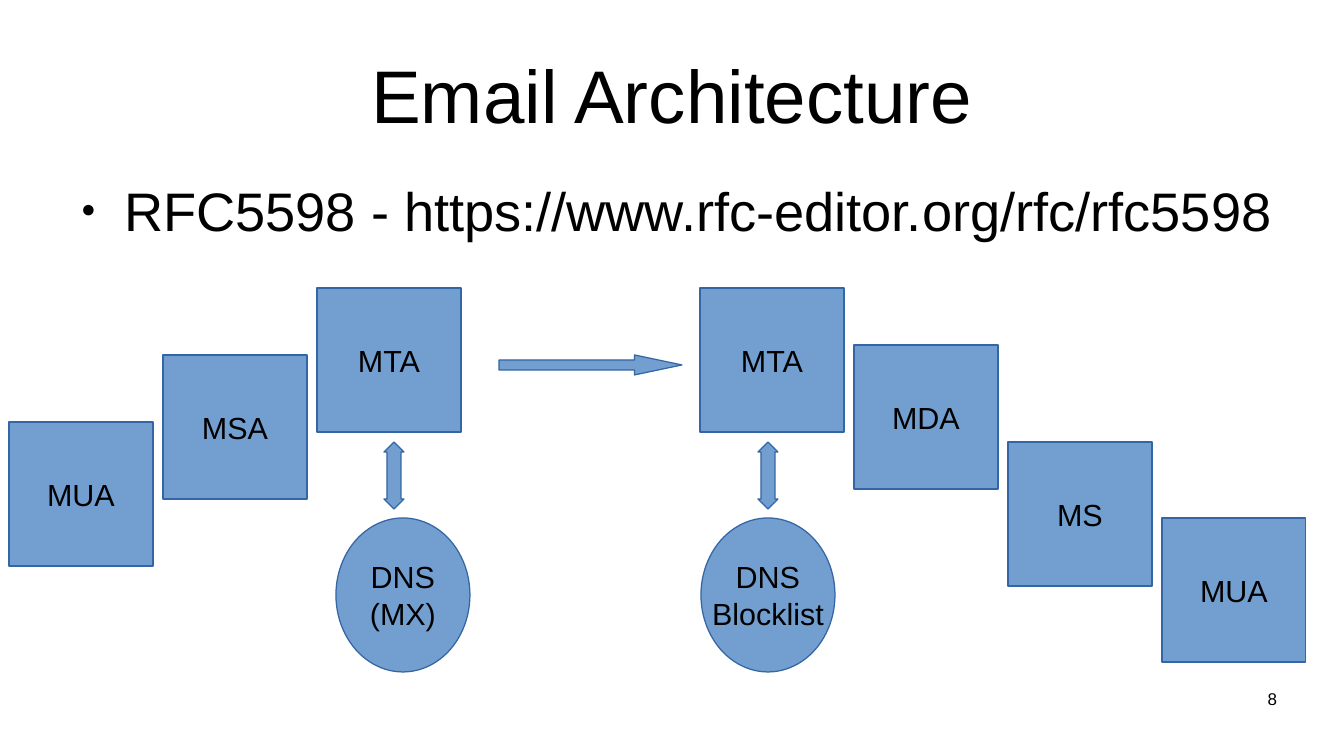
from dataclasses import dataclass

from lxml import etree
from pptx import Presentation
from pptx.dml.color import RGBColor
from pptx.enum.shapes import MSO_SHAPE as Preset
from pptx.enum.text import MSO_ANCHOR as Anchor, MSO_AUTO_SIZE as AutoSize, PP_ALIGN as Align
from pptx.oxml.ns import qn
from pptx.util import Pt

EMU_PER_PX = 914400 / 122


def px(length):
    return round(length * EMU_PER_PX)


@dataclass(frozen=True)
class Theme:
    font: str = "Arial"
    text: RGBColor = RGBColor(0x00, 0x00, 0x00)
    fill: RGBColor = RGBColor(0x72, 0x9F, 0xCF)
    line: RGBColor = RGBColor(0x34, 0x65, 0xA4)
    title_size: int = 44
    body_size: int = 32
    label_size: int = 18
    number_size: int = 10


class SlideBuilder:
    def __init__(self, slide, theme):
        self.slide = slide
        self.theme = theme

    def format_text(self, text_frame, size, align, anchor=Anchor.TOP):
        text_frame.vertical_anchor = anchor
        for paragraph in text_frame.paragraphs:
            paragraph.alignment = align
            paragraph.space_before = Pt(0)
            for run in paragraph.runs:
                run.font.name = self.theme.font
                run.font.size = Pt(size)
                run.font.color.rgb = self.theme.text

    def fill_box(self, shape, text, left, top, width, height):
        """Place a text shape without margins and set its text."""
        shape.left, shape.top, shape.width, shape.height = map(px, (left, top, width, height))
        text_frame = shape.text_frame
        text_frame.text = text
        text_frame.word_wrap = True
        text_frame.auto_size = AutoSize.NONE
        text_frame.margin_left = text_frame.margin_right = 0
        text_frame.margin_top = text_frame.margin_bottom = 0
        return text_frame

    def title(self, text, *place):
        text_frame = self.fill_box(self.slide.shapes.title, text, *place)
        self.format_text(text_frame, self.theme.title_size, Align.CENTER, Anchor.MIDDLE)

    def bullet_list(self, text, *place):
        text_frame = self.fill_box(self.slide.placeholders[1], text, *place)
        self.format_text(text_frame, self.theme.body_size, Align.LEFT)
        for paragraph in text_frame.paragraphs:
            properties = paragraph._p.get_or_add_pPr()
            properties.set("marL", str(px(57)))
            properties.set("indent", str(px(-43)))
            etree.SubElement(properties, qn("a:buSzPct"), val="45000")
            etree.SubElement(properties, qn("a:buFont"), typeface=self.theme.font)
            etree.SubElement(properties, qn("a:buChar"), char="●")

    def page_number(self, text, *place):
        shape = self.slide.shapes.add_textbox(0, 0, 0, 0)
        text_frame = self.fill_box(shape, text, *place)
        self.format_text(text_frame, self.theme.number_size, Align.RIGHT)

    def shape(self, preset, left, top, width, height, adjustments=()):
        shape = self.slide.shapes.add_shape(preset, *map(px, (left, top, width, height)))
        shape.shadow.inherit = False
        shape.fill.solid()
        shape.fill.fore_color.rgb = self.theme.fill
        shape.line.color.rgb = self.theme.line
        shape.line.width = 0
        for index, value in enumerate(adjustments):
            shape.adjustments[index] = value
        return shape

    def node(self, preset, text, *place):
        text_frame = self.shape(preset, *place).text_frame
        text_frame.text = text
        text_frame.word_wrap = False
        self.format_text(text_frame, self.theme.label_size, Align.CENTER, Anchor.MIDDLE)


def main():
    presentation = Presentation()
    presentation.slide_width, presentation.slide_height = px(1344), px(756)
    slide = presentation.slides.add_slide(presentation.slide_layouts[1])
    builder = SlideBuilder(slide, Theme())

    builder.title("Email Architecture", 67, 30, 1210, 127)
    builder.bullet_list("RFC5598 - https://www.rfc-editor.org/rfc/rfc5598", 67, 177, 1210, 111)

    side, step = 144, 154
    sender = 9, (("MUA", 422), ("MSA", 355), ("MTA", 288))
    receiver = 700, (("MTA", 288), ("MDA", 345), ("MS", 442), ("MUA", 518))
    for start, agents in (sender, receiver):
        for column, (name, top) in enumerate(agents):
            builder.node(Preset.RECTANGLE, name, start + column * step, top, side, side)

    builder.shape(Preset.RIGHT_ARROW, 499, 355, 183, 20, (0.5, 2.375))
    for name, left, arrow_left in (("DNS\n(MX)", 336, 384), ("DNS\nBlocklist", 701, 758)):
        builder.node(Preset.OVAL, name, left, 518, 134, 154)
        builder.shape(Preset.UP_DOWN_ARROW, arrow_left, 442, 20, 67, (0.5, 0.7))

    builder.page_number("8", 964, 689, 313, 52)
    presentation.save("out.pptx")


if __name__ == "__main__":
    main()
